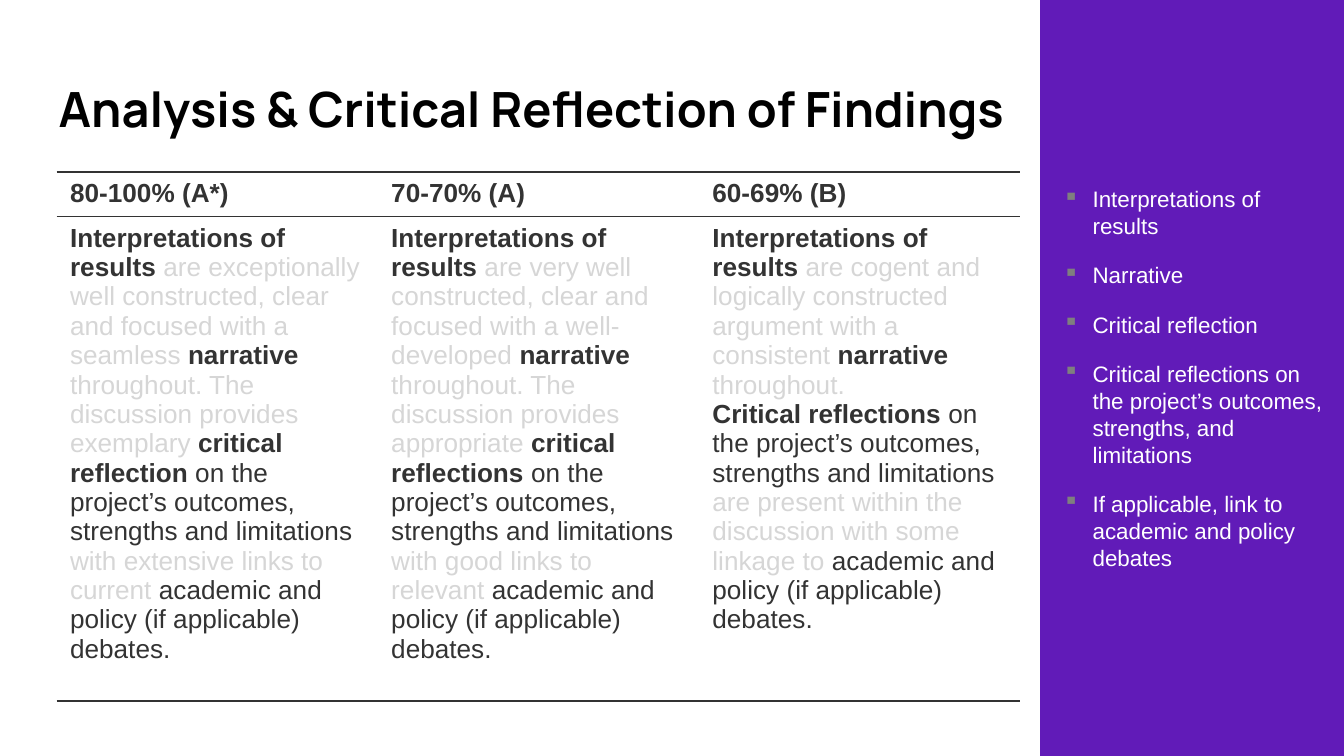
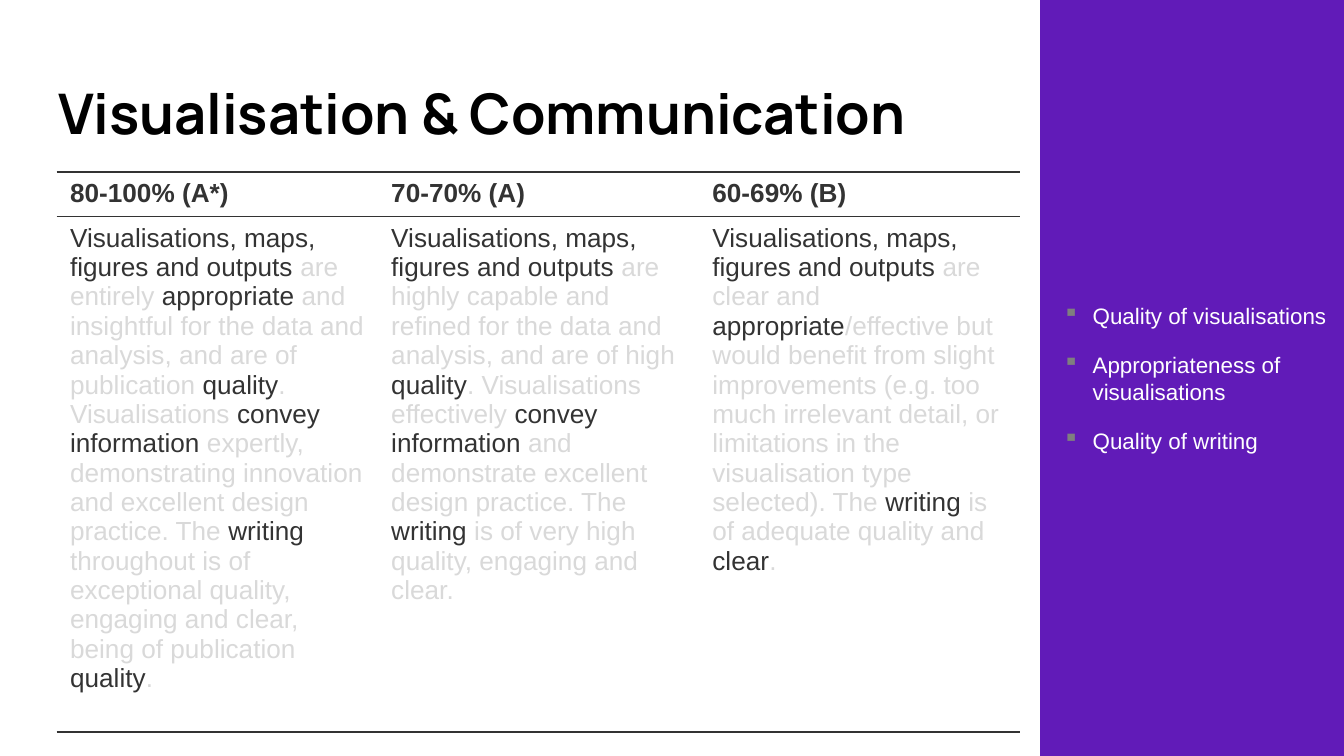
from lxml import etree
from pptx import Presentation
from pptx.dml.color import RGBColor
from pptx.enum.shapes import MSO_SHAPE as Shape
from pptx.enum.text import MSO_ANCHOR as Anchor, PP_ALIGN as Align
from pptx.oxml.ns import qn
from pptx.util import Cm, Pt

COLORS = {
    "title": "000000",
    "text": "333333",
    "muted_analysis": "D6D6D6",
    "muted_visuals": "D9D9D9",
    "sidebar": "611BB8",
    "sidebar_text": "FFFFFF",
    "bullet": "7F7F7F",
}
GRADES = ["80-100% (A*)", "70-70% (A)", "60-69% (B)"]
BOLD, MUTED = "#", "~"

SLIDES = [
    {
        "title": "Analysis & Critical Reflection of Findings",
        "title_size": 26,
        "muted": "muted_analysis",
        "criteria": [
            "#Interpretations of results |~are exceptionally well constructed, clear and focused "
            "with a seamless |#narrative |~throughout. The discussion provides exemplary "
            "|#critical reflection| on the project’s outcomes, strengths and limitations "
            "|~with extensive links to current| academic and policy (if applicable) debates.",
            "#Interpretations of results |~are very well constructed, clear and focused "
            "with a well- developed |#narrative|~ throughout. The discussion provides appropriate "
            "|#critical reflections| on the project’s outcomes, strengths and limitations "
            "|~with good links to relevant |academic and policy (if applicable) debates.",
            "#Interpretations of results |~are cogent and logically constructed argument "
            "with a consistent |#narrative|~ throughout.\n"
            "#Critical reflections |on the project’s outcomes, strengths and limitations "
            "|~are present within the discussion with some linkage to "
            "|academic and policy (if applicable) debates.",
        ],
        "points": [
            "Interpretations of results",
            "Narrative",
            "Critical reflection",
            "Critical reflections on the project’s outcomes, strengths, and limitations",
            "If applicable, link to academic and policy debates",
        ],
    },
    {
        "title": "Visualisation & Communication",
        "title_size": 30,
        "muted": "muted_visuals",
        "criteria": [
            "Visualisations, maps, figures and outputs |~are entirely |appropriate"
            "|~ and insightful for the data and analysis, and are of publication |quality"
            "|~. Visualisations |convey information|~ expertly, demonstrating innovation and "
            "excellent design practice. The |writing|~ throughout is of exceptional quality, "
            "engaging and clear, being of publication |quality|~.",
            "Visualisations, maps, figures and outputs |~are highly capable and refined "
            "for the data and analysis, and are of high |quality|~. Visualisations effectively "
            "|convey information |~and demonstrate excellent design practice. The "
            "|writing|~ is of very high quality, engaging and clear.",
            "Visualisations, maps, figures and outputs |~are clear and |appropriate"
            "|~/effective but would benefit from slight improvements (e.g. too much irrelevant "
            "detail, or limitations in the visualisation type selected). The "
            "|writing|~ is of adequate quality and |clear|~.",
        ],
        "points": [
            "Quality of visualisations",
            "Appropriateness of visualisations",
            "Quality of writing",
        ],
    },
]


def write_text(frame, text, size, color, font="Arial", bold=False, muted=None, bullet=False):
    frame.word_wrap = True
    for index, line in enumerate(text.split("\n")):
        paragraph = frame.add_paragraph() if index else frame.paragraphs[0]
        paragraph.alignment = Align.LEFT
        if bullet:
            properties = paragraph._p.get_or_add_pPr()
            properties.set("marL", str(Cm(0.79)))
            properties.set("indent", str(Cm(-0.56)))
            paragraph.space_after = Pt(12)
            bullet_color = etree.SubElement(properties, qn("a:buClr"))
            etree.SubElement(bullet_color, qn("a:srgbClr"), val=COLORS["bullet"])
            etree.SubElement(properties, qn("a:buChar"), char="▪")
        for piece in line.split("|"):
            run = paragraph.add_run()
            run.text = piece.lstrip(BOLD + MUTED)
            run.font.name = font
            run.font.size = Pt(size)
            run.font.bold = bold or piece.startswith(BOLD)
            run_color = muted if piece.startswith(MUTED) else color
            run.font.color.rgb = RGBColor.from_string(COLORS[run_color])


def set_borders(cell, top, bottom):
    properties = cell._tc.get_or_add_tcPr()
    for side, width in (("L", 0), ("R", 0), ("T", top), ("B", bottom)):
        line = etree.SubElement(properties, qn(f"a:ln{side}"), w=str(Pt(width)))
        if width:
            fill = etree.SubElement(line, qn("a:solidFill"))
            etree.SubElement(fill, qn("a:srgbClr"), val=COLORS["text"])
        else:
            etree.SubElement(line, qn("a:noFill"))


presentation = Presentation()
presentation.slide_width = Cm(25.4)
presentation.slide_height = Cm(14.29)

for content in SLIDES:
    slide = presentation.slides.add_slide(presentation.slide_layouts[6])

    title = slide.shapes.add_textbox(Cm(0.86), Cm(1.24), Cm(23.67), Cm(1.73)).text_frame
    title.margin_left = title.margin_right = title.margin_top = title.margin_bottom = Cm(0.25)
    write_text(title, content["title"], content["title_size"], "title", font="Manrope", bold=True)

    table = slide.shapes.add_table(2, 3, Cm(1.07), Cm(3.25), Cm(18.21), Cm(9.98)).table
    table.horz_banding = False
    table.rows[0].height = Cm(0.84)
    table.rows[1].height = Cm(9.14)
    for column, (grade, criterion) in enumerate(zip(GRADES, content["criteria"])):
        table.columns[column].width = Cm(6.07)
        header, body = table.cell(0, column), table.cell(1, column)
        set_borders(header, top=1, bottom=0.5)
        set_borders(body, top=0.5, bottom=1)
        header.fill.background()
        body.fill.background()
        write_text(header.text_frame, grade, 14, "text", bold=True)
        write_text(body.text_frame, criterion, 14, "text", muted=content["muted"])

    sidebar = slide.shapes.add_shape(Shape.RECTANGLE, Cm(19.66), 0, Cm(5.74), Cm(14.29))
    sidebar.shadow.inherit = False
    sidebar.fill.solid()
    sidebar.fill.fore_color.rgb = RGBColor.from_string(COLORS["sidebar"])
    sidebar.line.fill.background()
    frame = sidebar.text_frame
    frame.vertical_anchor = Anchor.MIDDLE
    frame.margin_left = Cm(0.2)
    frame.margin_right = Cm(0.25)
    write_text(frame, "\n".join(content["points"]), 12, "sidebar_text", bullet=True)

presentation.save("out.pptx")
